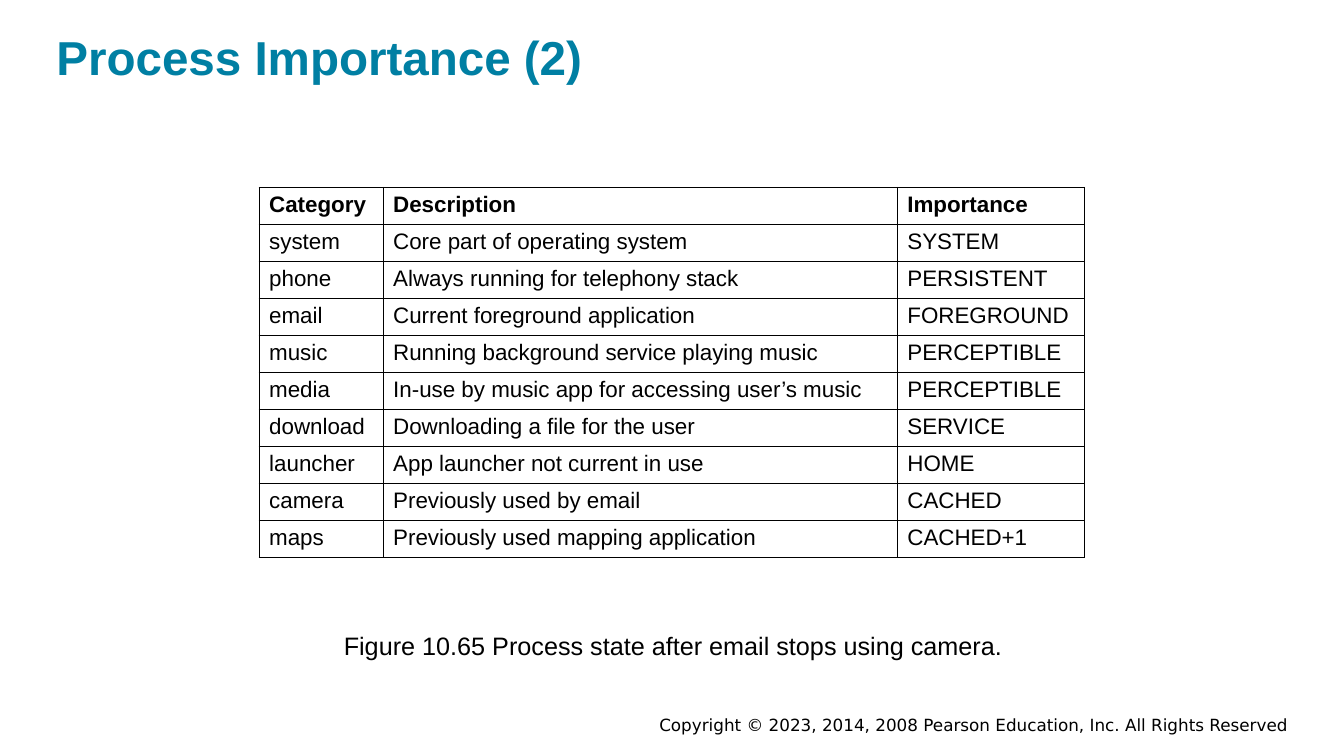
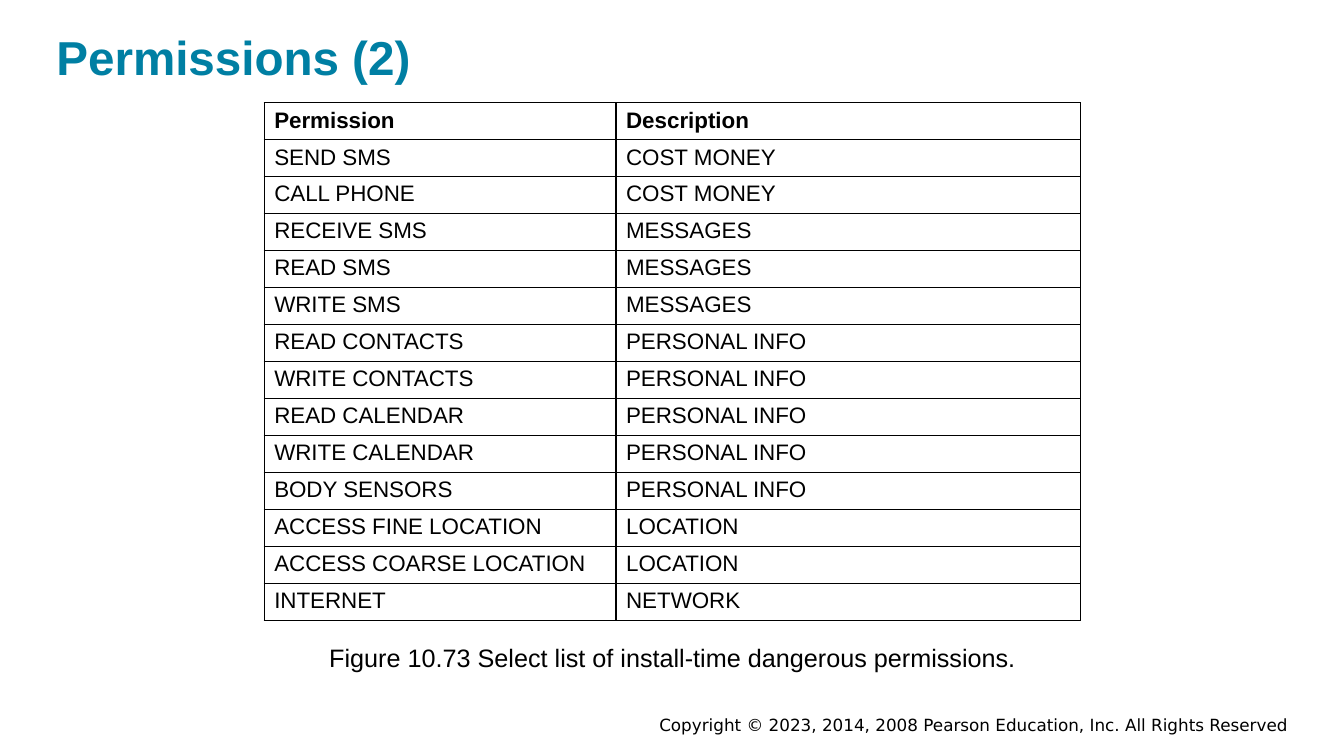
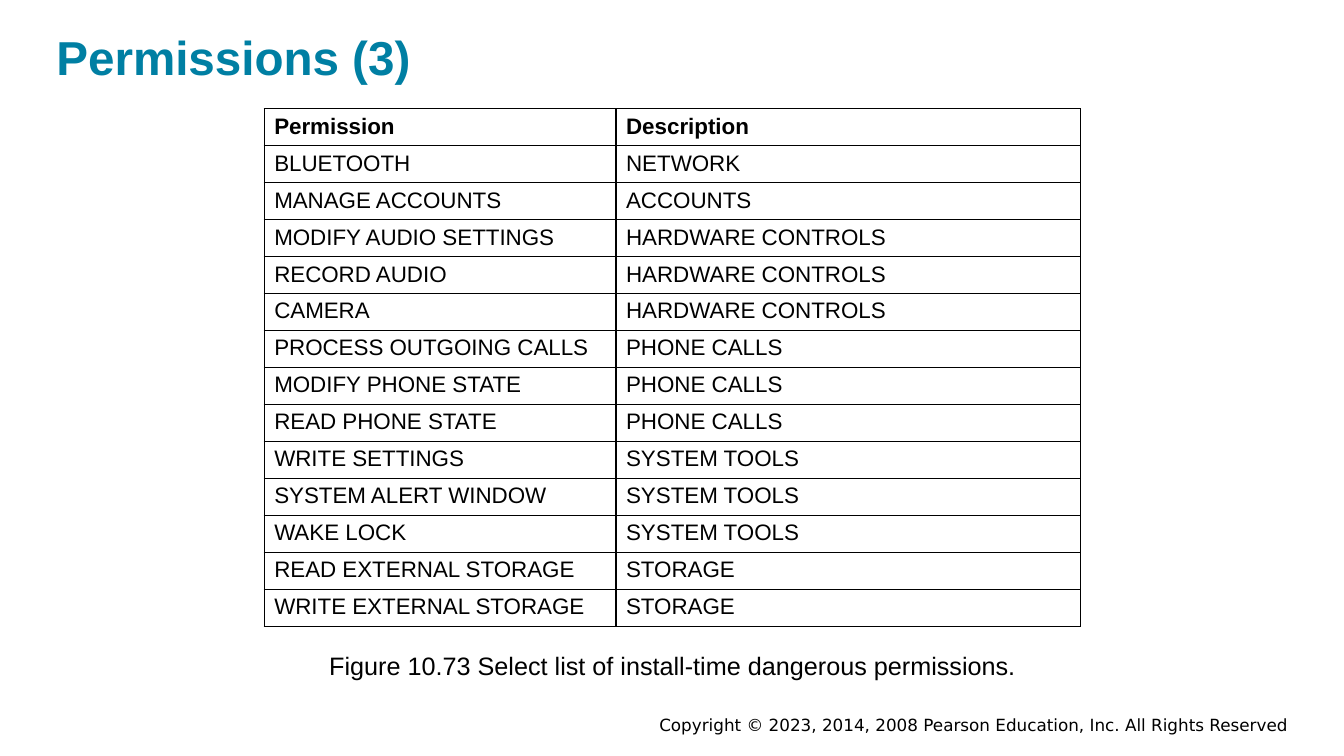
import dataclasses

import pptx
import pptx.dml.color
import pptx.enum.text
import pptx.oxml
import pptx.oxml.ns
import pptx.util

Inches = pptx.util.Inches
ALIGN = pptx.enum.text.PP_ALIGN
ANCHOR = pptx.enum.text.MSO_ANCHOR


@dataclasses.dataclass(frozen=True)
class Theme:
    title_color: str = "007FA3"
    ink: str = "000000"
    font: str = "Arial"
    footer_font: str = "DejaVu Sans"
    title_size: int = 34
    caption_size: int = 18
    cell_size: int = 16
    footer_size: int = 12
    border_width: int = 1


THEME = Theme()
COPYRIGHT = "Copyright © 2023, 2014, 2008 Pearson Education, Inc. All Rights Reserved"


def write_text(frame, text, *, size, color=THEME.ink, font=THEME.font,
               bold=False, align=ALIGN.LEFT):
    paragraph = frame.paragraphs[0]
    paragraph.alignment = align
    run = paragraph.add_run()
    run.text = text
    run.font.name = font
    run.font.size = pptx.util.Pt(size)
    run.font.bold = bold
    run.font.color.rgb = pptx.dml.color.RGBColor.from_string(color)


class Deck:
    """Holds the style, the presentation and the current slide."""

    def __init__(self, theme):
        self.theme = theme
        self.presentation = pptx.Presentation()
        self.presentation.slide_width = Inches(13.33)
        self.presentation.slide_height = Inches(7.5)
        self.slide = None

    def new_slide(self, title):
        blank = self.presentation.slide_layouts[6]
        self.slide = self.presentation.slides.add_slide(blank)
        self.text((3.17, 7.07, 9.61, 0.24), COPYRIGHT, align=ALIGN.RIGHT,
                  font=self.theme.footer_font, size=self.theme.footer_size)
        self.text((0.56, 0.26, 12.2, 0.61), title, bold=True,
                  size=self.theme.title_size, color=self.theme.title_color)

    def text(self, box, text, **style):
        frame = self.slide.shapes.add_textbox(*map(Inches, box)).text_frame
        frame.word_wrap = True
        frame.vertical_anchor = ANCHOR.MIDDLE
        frame.margin_left = frame.margin_right = 0
        frame.margin_top = frame.margin_bottom = Inches(0.02)
        write_text(frame, text, **style)

    def caption(self, box, text):
        self.text(box, text, size=self.theme.caption_size, align=ALIGN.CENTER)

    def table(self, left, top, height, widths, rows):
        # add_table shares the height equally among the rows
        table = self.slide.shapes.add_table(
            len(rows), len(widths), Inches(left), Inches(top),
            Inches(sum(widths)), Inches(height)).table
        table.horz_banding = False
        for column, width in zip(table.columns, widths):
            column.width = Inches(width)
        for row_index, row in enumerate(rows):
            for column_index, text in enumerate(row):
                cell = table.cell(row_index, column_index)
                self.border(cell)
                cell.fill.background()
                write_text(cell.text_frame, text, size=self.theme.cell_size,
                           bold=row_index == 0)

    def border(self, cell):
        properties = cell._tc.get_or_add_tcPr()
        width = pptx.util.Pt(self.theme.border_width)
        for side in ("lnL", "lnR", "lnT", "lnB"):
            properties.append(pptx.oxml.parse_xml(
                f'<a:{side} {pptx.oxml.ns.nsdecls("a")} w="{width}"><a:solidFill>'
                f'<a:srgbClr val="{self.theme.ink}"/></a:solidFill></a:{side}>'))


# Table contents
PROCESSES = [
    ("Category", "Description", "Importance"),
    ("system", "Core part of operating system", "SYSTEM"),
    ("phone", "Always running for telephony stack", "PERSISTENT"),
    ("email", "Current foreground application", "FOREGROUND"),
    ("music", "Running background service playing music", "PERCEPTIBLE"),
    ("media", "In-use by music app for accessing user’s music", "PERCEPTIBLE"),
    ("download", "Downloading a file for the user", "SERVICE"),
    ("launcher", "App launcher not current in use", "HOME"),
    ("camera", "Previously used by email", "CACHED"),
    ("maps", "Previously used mapping application", "CACHED+1"),
]
PERMISSION_HEADER = ("Permission", "Description")
MESSAGE_AND_DATA_PERMISSIONS = [
    PERMISSION_HEADER,
    ("SEND SMS", "COST MONEY"),
    ("CALL PHONE", "COST MONEY"),
    ("RECEIVE SMS", "MESSAGES"),
    ("READ SMS", "MESSAGES"),
    ("WRITE SMS", "MESSAGES"),
    ("READ CONTACTS", "PERSONAL INFO"),
    ("WRITE CONTACTS", "PERSONAL INFO"),
    ("READ CALENDAR", "PERSONAL INFO"),
    ("WRITE CALENDAR", "PERSONAL INFO"),
    ("BODY SENSORS", "PERSONAL INFO"),
    ("ACCESS FINE LOCATION", "LOCATION"),
    ("ACCESS COARSE LOCATION", "LOCATION"),
    ("INTERNET", "NETWORK"),
]
DEVICE_PERMISSIONS = [
    PERMISSION_HEADER,
    ("BLUETOOTH", "NETWORK"),
    ("MANAGE ACCOUNTS", "ACCOUNTS"),
    ("MODIFY AUDIO SETTINGS", "HARDWARE CONTROLS"),
    ("RECORD AUDIO", "HARDWARE CONTROLS"),
    ("CAMERA", "HARDWARE CONTROLS"),
    ("PROCESS OUTGOING CALLS", "PHONE CALLS"),
    ("MODIFY PHONE STATE", "PHONE CALLS"),
    ("READ PHONE STATE", "PHONE CALLS"),
    ("WRITE SETTINGS", "SYSTEM TOOLS"),
    ("SYSTEM ALERT WINDOW", "SYSTEM TOOLS"),
    ("WAKE LOCK", "SYSTEM TOOLS"),
    ("READ EXTERNAL STORAGE", "STORAGE"),
    ("WRITE EXTERNAL STORAGE", "STORAGE"),
]


def main():
    deck = Deck(THEME)

    # Process states
    deck.new_slide("Process Importance (2)")
    deck.table(2.57, 1.86, 3.67, (1.23, 5.1, 1.86), PROCESSES)
    deck.caption((3.38, 6.23, 6.59, 0.34),
                 "Figure 10.65 Process state after email stops using camera.")

    # Permissions, continued over two slides
    for number, table_top, caption_top, permissions in (
            (2, 1.02, 6.35, MESSAGE_AND_DATA_PERMISSIONS),
            (3, 1.08, 6.43, DEVICE_PERMISSIONS)):
        deck.new_slide(f"Permissions ({number})")
        deck.table(2.62, table_top, 5.13, (3.49, 4.61), permissions)
        deck.caption((3.25, caption_top, 6.84, 0.34),
                     "Figure 10.73 Select list of install-time dangerous permissions.")

    deck.presentation.save("out.pptx")


if __name__ == "__main__":
    main()
